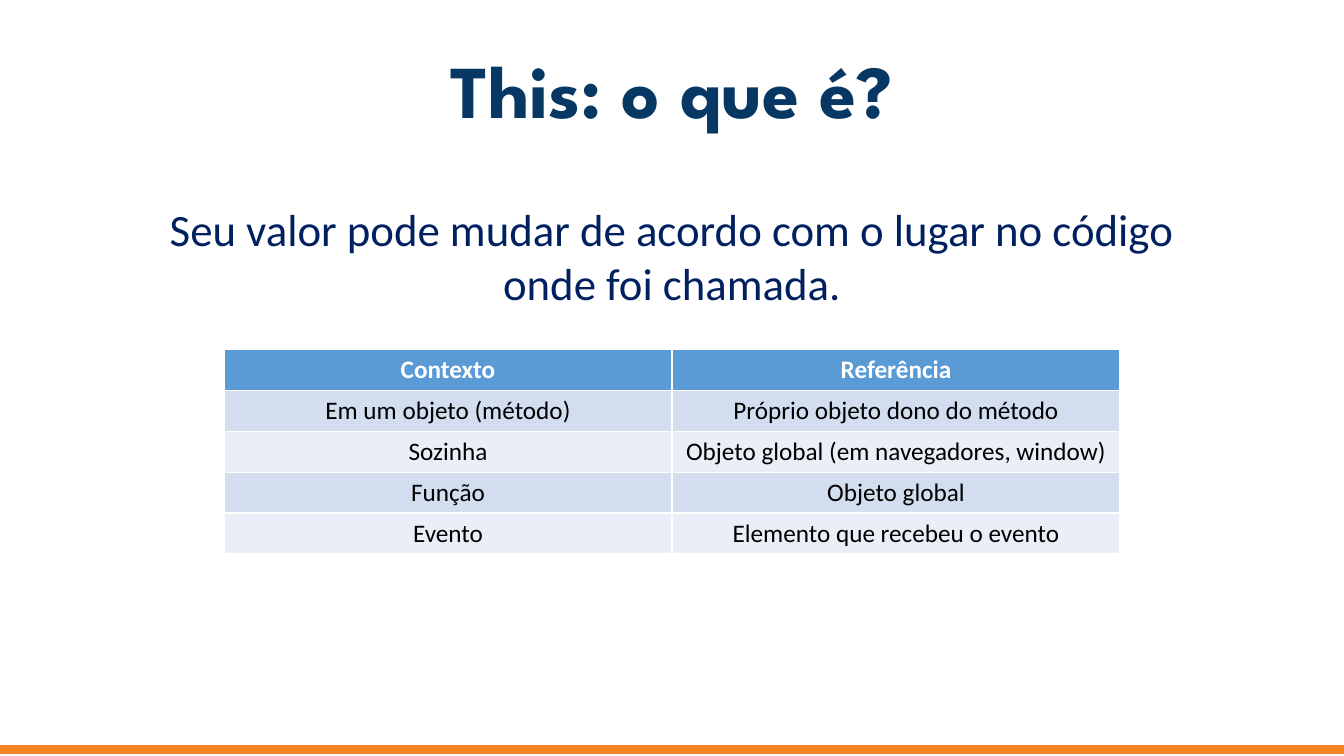
from pptx import Presentation
from pptx.dml.color import RGBColor
from pptx.enum.shapes import MSO_SHAPE as Shape
from pptx.enum.text import MSO_ANCHOR as Anchor, PP_ALIGN as Align
from pptx.util import Inches, Pt

WHITE = RGBColor(0xFF, 0xFF, 0xFF)
BLACK = RGBColor(0x00, 0x00, 0x00)
TITLE_BLUE = RGBColor(0x07, 0x37, 0x63)
TEXT_BLUE = RGBColor(0x00, 0x20, 0x60)
ORANGE = RGBColor(0xF7, 0x83, 0x21)
HEADER_BLUE = RGBColor(0x5B, 0x9B, 0xD5)
BANDS = [RGBColor(0xEA, 0xEF, 0xF7), RGBColor(0xD2, 0xDE, 0xEF)]


def write(frame, text, font, size, color, bold=False):
    para = frame.paragraphs[0]
    para.alignment = Align.CENTER
    span = para.add_run()
    span.text = text
    span.font.name = font
    span.font.size = Pt(size)
    span.font.bold = bold
    span.font.color.rgb = color


def add_box(left, top, width, height):
    box = page.shapes.add_textbox(*map(Inches, (left, top, width, height)))
    box.text_frame.word_wrap = True
    return box.text_frame


deck = Presentation()
deck.slide_width = Inches(13.33)
deck.slide_height = Inches(7.5)
page = deck.slides.add_slide(deck.slide_layouts[6])

# Title
title = add_box(0.45, 0.45, 12.42, 0.86)
title.vertical_anchor = Anchor.MIDDLE
title.margin_left = title.margin_right = Inches(0.13)
title.margin_top = title.margin_bottom = Inches(0.13)
write(title, "This: o que é?", "League Spartan", 53.3, TITLE_BLUE, True)

# Footer stripe
stripe_height = Inches(0.08)
stripe = page.shapes.add_shape(
    Shape.RECTANGLE, 0, Inches(7.4), deck.slide_width, stripe_height)
stripe.shadow.inherit = False
stripe.fill.solid()
stripe.fill.fore_color.rgb = ORANGE
stripe.line.color.rgb = ORANGE
stripe.line.width = Pt(0.75)

# Table: value of "this" by context
rows = [
    ("Contexto", "Referência"),
    ("Em um objeto (método)", "Próprio objeto dono do método"),
    ("Sozinha", "Objeto global (em navegadores, window)"),
    ("Função", "Objeto global"),
    ("Evento", "Elemento que recebeu o evento"),
]
row_height = Inches(0.405)
table_width = deck.slide_width * 2 // 3
table = page.shapes.add_table(
    len(rows), 2, deck.slide_width // 6, Inches(3.47),
    table_width, row_height * len(rows)).table
for row, texts in enumerate(rows):
    header = row == 0
    for column, text in enumerate(texts):
        cell = table.cell(row, column)
        cell.fill.solid()
        cell.fill.fore_color.rgb = HEADER_BLUE if header else BANDS[row % 2]
        write(cell.text_frame, text, "Calibri", 18,
              WHITE if header else BLACK, header)

# Statement above the table
statement = add_box(1.42, 1.95, 10.49, 1.18)
write(statement,
      "Seu valor pode mudar de acordo com o lugar no código onde foi chamada.",
      "Calibri", 32, TEXT_BLUE)

deck.save("out.pptx")
